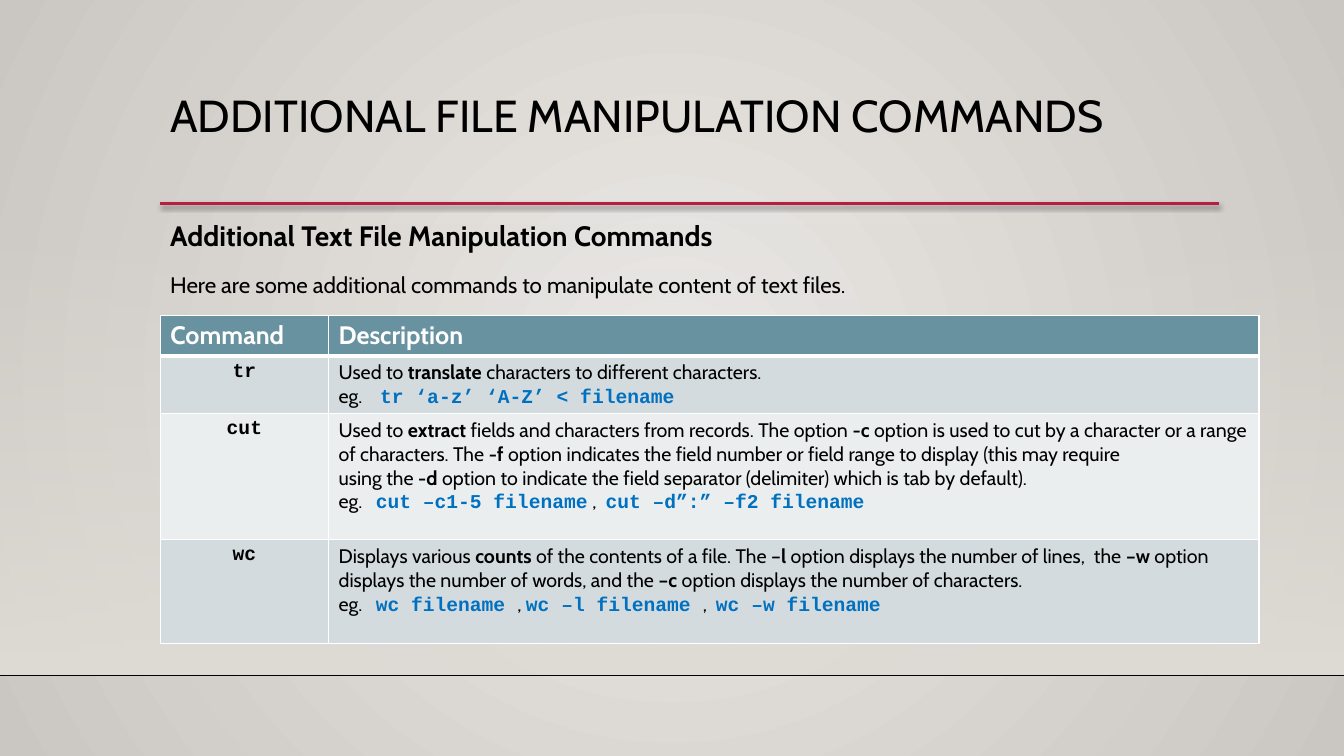
from dataclasses import dataclass

from lxml.etree import SubElement
from pptx import Presentation
from pptx.dml.color import RGBColor
from pptx.enum.shapes import MSO_CONNECTOR, MSO_SHAPE
from pptx.enum.text import PP_ALIGN
from pptx.oxml import parse_xml
from pptx.oxml.ns import nsdecls, qn
from pptx.util import Cm, Pt


@dataclass(frozen=True)
class Theme:
    font: str = "Cabin"
    code_font: str = "Courier New"
    ink: str = "000000"
    code: str = "0070C0"
    accent: str = "B71E42"
    header: str = "6892A0"
    bands: tuple = ("D3DBDF", "EAEEEF")
    white: str = "FFFFFF"
    backdrop: tuple = ("ECEAE7", "CAC6C1")
    floor: str = "DFDBD5"
    title_size: int = 32
    heading_size: int = 20
    intro_size: int = 16
    header_size: int = 18
    cell_size: int = 14


theme = Theme()


def set_font(font, size, color=theme.ink, bold=False, name=theme.font):
    font.name, font.size, font.bold = name, Pt(size), bold
    font.color.rgb = RGBColor.from_string(color)


def set_gradient(fill, start, end):
    fill.gradient()
    fill.gradient_angle = 270
    for stop, color, position in zip(fill.gradient_stops, (start, end), (0, 1)):
        stop.color.rgb = RGBColor.from_string(color)
        stop.position = position


deck = Presentation()
deck.slide_width, deck.slide_height = Cm(33.87), Cm(19.05)
slide = deck.slides.add_slide(deck.slide_layouts[6])

# Radial backdrop
set_gradient(slide.background.fill, *theme.backdrop)
linear = next(slide.background._cSld.iter(qn("a:lin")))
linear.getparent().replace(linear, parse_xml(
    f'<a:path {nsdecls("a")} path="circle">'
    '<a:fillToRect l="50000" t="50000" r="50000" b="50000"/></a:path>'))

# Wall fading in towards the floor line
wall = slide.shapes.add_shape(
    MSO_SHAPE.RECTANGLE, 0, Cm(5.61), deck.slide_width, Cm(11.41))
wall.shadow.inherit = False
wall.line.fill.background()
set_gradient(wall.fill, theme.floor, theme.floor)
first_color = next(wall._element.spPr.iter(qn("a:srgbClr")))
SubElement(first_color, qn("a:alpha"), val="0")

# Floor line and title rule
for left, right, y, color, width in (
    (0, 33.87, 17.02, theme.ink, 1),
    (4.04, 30.73, 5.13, theme.accent, 2.5),
):
    rule = slide.shapes.add_connector(
        MSO_CONNECTOR.STRAIGHT, Cm(left), Cm(y), Cm(right), Cm(y))
    rule.line.color.rgb = RGBColor.from_string(color)
    rule.line.width = Pt(width)
    effects = SubElement(rule._element.spPr, qn("a:effectLst"))
    if color == theme.accent:
        shadow = SubElement(
            effects, qn("a:outerShdw"), blurRad=str(Pt(3.1)),
            dist=str(Pt(1.8)), dir="5400000", rotWithShape="0")
        shade = SubElement(shadow, qn("a:srgbClr"), val=theme.ink)
        SubElement(shade, qn("a:alpha"), val="35000")

# Title and introduction: (top, width, paragraphs of text, size, bold, spacing, before)
for top, width, lines in (
    (2.24, 26.67, [
        ("ADDITIONAL FILE MANIPULATION COMMANDS", theme.title_size, False, 0.9, 0)]),
    (5.21, 25.37, [
        ("Additional Text File Manipulation Commands", theme.heading_size, True, 1.2, 10),
        ("Here are some additional commands to manipulate content of text files.",
         theme.intro_size, False, 1.2, 10)]),
):
    frame = slide.shapes.add_textbox(
        Cm(4.04), Cm(top), Cm(width), Cm(2.92)).text_frame
    frame.word_wrap = True
    for index, (text, size, bold, spacing, before) in enumerate(lines):
        paragraph = frame.add_paragraph() if index else frame.paragraphs[0]
        paragraph.text = text
        paragraph.line_spacing = spacing
        paragraph.space_before = Pt(before)
        set_font(paragraph.font, size, bold=bold)

# Table wording, each run with its style
PLAIN, BOLD, CODE = "plain", "bold", "code"
run_styles = {
    PLAIN: (theme.cell_size, theme.ink, False, theme.font),
    BOLD: (theme.cell_size, theme.ink, True, theme.font),
    CODE: (theme.cell_size, theme.code, True, theme.code_font),
}
commands = [
    ("tr", [
        (PLAIN, "Used to "), (BOLD, "translate"),
        (PLAIN, " characters to different characters.\neg.    "),
        (CODE, "tr ‘a-z’ ‘A-Z’ < filename")]),
    ("cut", [
        (PLAIN, "Used to "), (BOLD, "extract"),
        (PLAIN, " fields and characters from records. The option "), (BOLD, "-c"),
        (PLAIN, " option is used to cut by a character or a range of characters. The "),
        (BOLD, "-f"),
        (PLAIN, " option indicates the field number or field range to display "
                "(this may require \nusing the "),
        (BOLD, "-d"),
        (PLAIN, " option to indicate the field separator (delimiter) "
                "which is tab by default).\neg.   "),
        (CODE, "cut –c1-5 filename"), (PLAIN, " ,  "),
        (CODE, "cut –d”:” –f2 filename")]),
    ("wc", [
        (PLAIN, "Displays various "), (BOLD, "counts"),
        (PLAIN, " of the contents of a file. The –"), (BOLD, "l "),
        (PLAIN, "option displays the number of lines,  the "), (BOLD, "–w"),
        (PLAIN, " option displays the number of words, and the "), (BOLD, "–c"),
        (PLAIN, " option displays the number of characters.\neg.   "),
        (CODE, "wc filename "), (PLAIN, ", "), (CODE, "wc –l filename "),
        (PLAIN, ",  "), (CODE, "wc –w filename")]),
]

# Table grid
table = slide.shapes.add_table(
    4, 2, Cm(4.04), Cm(7.95), Cm(27.69), Cm(8.24)).table
for column, width in zip(table.columns, (4.24, 23.45)):
    column.width = Cm(width)
for row, height in zip(table.rows, (1, 1.45, 3.18, 2.61)):
    row.height = Cm(height)

# Cell fills and borders, heavier under the header
for row_index, row in enumerate(table.rows):
    for cell in row.cells:
        for side in "LRTB":
            heavy = (row_index, side) in ((0, "B"), (1, "T"))
            border = SubElement(cell._tc.get_or_add_tcPr(), qn(f"a:ln{side}"),
                                w=str(Pt(3 if heavy else 0.96)))
            paint = SubElement(border, qn("a:solidFill"))
            SubElement(paint, qn("a:srgbClr"), val=theme.white)
        cell.fill.solid()
        cell.fill.fore_color.rgb = RGBColor.from_string(
            theme.bands[(row_index - 1) % 2] if row_index else theme.header)

# Header text
for cell, label in zip(table.rows[0].cells, ("Command", "Description")):
    cell.text = label
    set_font(cell.text_frame.paragraphs[0].font, theme.header_size, theme.white, True)

# Command rows
for row_index, (command, description) in enumerate(commands, 1):
    name_cell, description_cell = table.rows[row_index].cells
    name_cell.text = command
    name = name_cell.text_frame.paragraphs[0]
    name.alignment = PP_ALIGN.CENTER
    set_font(name.font, theme.cell_size, bold=True, name=theme.code_font)

    paragraph = description_cell.text_frame.paragraphs[0]
    paragraph.font.size = Pt(theme.cell_size)
    for style, text in description:
        for line_index, line in enumerate(text.split("\n")):
            if line_index:
                paragraph.add_line_break()
            run = paragraph.add_run()
            run.text = line
            set_font(run.font, *run_styles[style])

deck.save("out.pptx")
